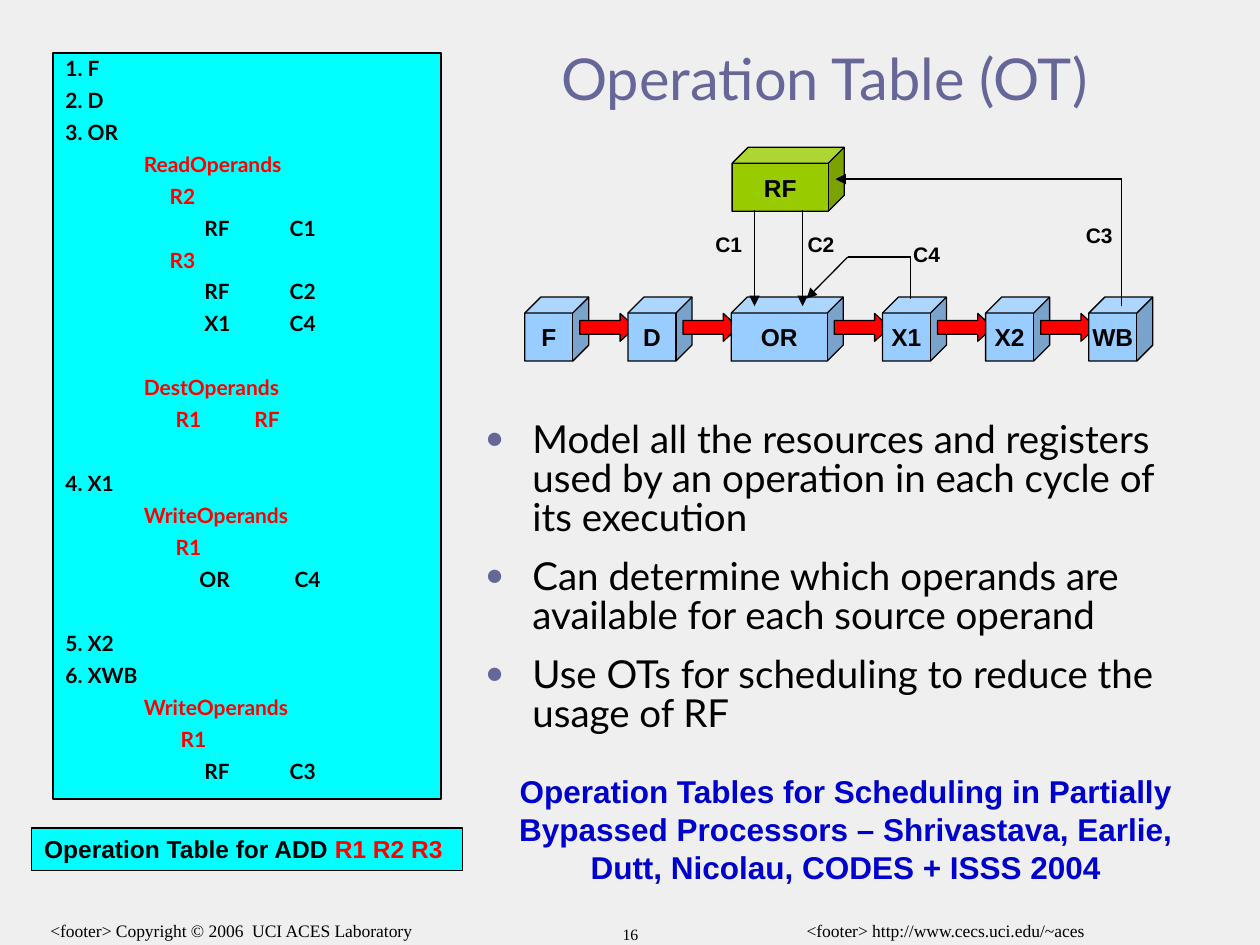
from lxml import etree
from pptx import Presentation
from pptx import util as u
from pptx.dml.color import RGBColor
from pptx.enum import shapes, text
from pptx.oxml import ns

BLACK = RGBColor(0x00, 0x00, 0x00)
RED = RGBColor(0xFF, 0x00, 0x00)
CYAN = RGBColor(0x00, 0xFF, 0xFF)
SKY = RGBColor(0x99, 0xCC, 0xFF)
GREEN = RGBColor(0x99, 0xCC, 0x00)
SLATE = RGBColor(0x66, 0x66, 0x99)
NAVY = RGBColor(0x00, 0x00, 0xCC)
PAPER = RGBColor(0xEF, 0xEF, 0xEF)
LEFT, CENTER = text.PP_ALIGN.LEFT, text.PP_ALIGN.CENTER
TOP, MIDDLE = text.MSO_ANCHOR.TOP, text.MSO_ANCHOR.MIDDLE

# First-line positions in the operation table, in cm
STEP, OPERANDS, REGISTER, LATER_REGISTER, PORT = 0, 1.58, 2.1, 2.22, 4.52
# Position, text, whether a blank line's worth of space comes before
TABLE_ROWS = [
    (STEP, "1. F", False), (STEP, "2. D", False), (STEP, "3. OR", False),
    (OPERANDS, "ReadOperands", False),
    (REGISTER, "R2", False), (PORT, "C1\tRF", False),
    (REGISTER, "R3", False), (PORT, "C2\tRF", False), (PORT, "C4\tX1", False),
    (OPERANDS, "DestOperands", True), (LATER_REGISTER, "R1\tRF", False),
    (STEP, "4. X1", True),
    (OPERANDS, "WriteOperands", False),
    (LATER_REGISTER, "R1", False), (PORT + 0.1, "C4\tOR", False),
    (STEP, "5. X2", True), (STEP, "6. XWB", False),
    (OPERANDS, "WriteOperands", False),
    (LATER_REGISTER + 0.1, "R1", False), (PORT, "C3\tRF", False),
]
BULLETS = [
    "Model all the resources and registers used by an operation in each cycle of its execution",
    "Can determine which operands are available for each source operand",
    "Use OTs for scheduling to reduce the usage of RF",
]


def add_child(parent, tag, **attributes):
    return etree.SubElement(parent, ns.qn(tag), attributes)


def write(para, words, size=12, font="Arial", color=BLACK, bold=False,
          align=LEFT, before=0, spacing=1.0):
    """Append a formatted run and set the paragraph's layout."""
    para.alignment = align
    para.space_before = u.Pt(before)
    para.line_spacing = spacing
    span = para.add_run()
    span.text = words
    span.font.size = u.Pt(size)
    span.font.name = font
    span.font.bold = bold
    span.font.color.rgb = color


def paragraphs(frame, items):
    """Pair each item with its paragraph, starting with the existing one."""
    for index, item in enumerate(items):
        yield (frame.add_paragraph() if index else frame.paragraphs[0]), item


class SlideBuilder:
    line_width = 0.75

    def __init__(self, slide):
        self.slide = slide
        slide.background.fill.solid()
        slide.background.fill.fore_color.rgb = PAPER

    def prepare(self, box, anchor=TOP, wrap=True):
        frame = box.text_frame
        frame.auto_size = text.MSO_AUTO_SIZE.NONE
        frame.word_wrap = wrap
        frame.vertical_anchor = anchor
        return frame

    def placeholder(self, index, left, top, width, height, anchor=TOP):
        box = self.slide.placeholders[index]
        box.left, box.top, box.width, box.height = map(u.Cm, (left, top, width, height))
        return self.prepare(box, anchor)

    def label(self, left, top, width, height, words, **style):
        box = self.slide.shapes.add_textbox(*map(u.Cm, (left, top, width, height)))
        write(self.prepare(box).paragraphs[0], words, **style)

    def shape(self, kind, left, top, width, height, fill):
        shape = self.slide.shapes.add_shape(kind, *map(u.Cm, (left, top, width, height)))
        shape.shadow.inherit = False
        shape.fill.solid()
        shape.fill.fore_color.rgb = fill
        shape.line.color.rgb = BLACK
        shape.line.width = u.Pt(self.line_width)
        return shape

    def cube(self, left, top, width, name, fill=SKY):
        box = self.shape(shapes.MSO_SHAPE.CUBE, left, top, width, 1.29, fill)
        frame = self.prepare(box, MIDDLE, wrap=False)
        write(frame.paragraphs[0], name, size=14, bold=True, align=CENTER)

    def line(self, start, end, arrow=False):
        points = map(u.Cm, (*start, *end))
        line = self.slide.shapes.add_connector(shapes.MSO_CONNECTOR.STRAIGHT, *points)
        line.line.color.rgb = BLACK
        line.line.width = u.Pt(self.line_width)
        if arrow:
            add_child(line.line._get_or_add_ln(), "a:tailEnd", type="triangle")
        add_child(line._element.spPr, "a:effectLst")

    def bullets(self, frame, items):
        for para, words in paragraphs(frame, items):
            layout = para._p.get_or_add_pPr()
            layout.set("marL", str(u.Cm(0.95)))
            layout.set("indent", str(-u.Cm(0.95)))
            color = add_child(layout, "a:buClr")
            add_child(color, "a:srgbClr", val=str(SLATE))
            add_child(layout, "a:buSzPct", val="80000")
            add_child(layout, "a:buChar", char="●")
            first = para._p is frame.paragraphs[0]._p
            write(para, words, size=22, font="Lato", spacing=0.85, before=0 if first else 11)

    def operation_table(self, frame):
        for para, (position, words, gap) in paragraphs(frame, TABLE_ROWS):
            layout = para._p.get_or_add_pPr()
            layout.set("marL", "0")
            layout.set("indent", str(u.Cm(position)))
            stops = add_child(layout, "a:tabLst")
            for stop in (2.92, 5.46):
                add_child(stops, "a:tab", pos=str(u.Cm(stop)), algn="l")
            first = para._p is frame.paragraphs[0]._p
            color = RED if OPERANDS <= position < PORT else BLACK
            write(para, words, font="Lato", bold=True, color=color, spacing=0.85,
                  before=0 if first else 24.24 if gap else 6)

    def pipeline(self):
        left, gap = 10.58, 0.79
        for name in ("F", "D", "OR", "X1", "X2", "WB"):
            width = 2.26 if name == "OR" else 1.29
            self.cube(left, 5.99, width, name)
            left += width
            if name != "WB":
                arrow = self.shape(shapes.MSO_SHAPE.RIGHT_ARROW, left - 0.18, 6.32, 1.12, 0.56, RED)
                arrow.adjustments[0], arrow.adjustments[1] = 0.5, 0.55
            left += gap


def main():
    deck = Presentation()
    deck.slide_width, deck.slide_height = u.Cm(25.4), u.Cm(19.05)
    page = SlideBuilder(deck.slides.add_slide(deck.slide_layouts[1]))

    title = page.placeholder(0, 9.1, 0.76, 15.04, 1.83, MIDDLE)
    write(title.paragraphs[0], "Operation Table (OT)", size=33, font="Lato",
          color=SLATE, align=CENTER, spacing=0.85)
    page.bullets(page.placeholder(1, 9.53, 8.38, 14.6, 6.86), BULLETS)

    rectangle = shapes.MSO_SHAPE.RECTANGLE
    caption = page.prepare(page.shape(rectangle, 0.64, 16.69, 8.69, 0.86, CYAN)).paragraphs[0]
    write(caption, "Operation Table for ADD ", size=14, bold=True)
    write(caption, "R1 R2 R3", size=14, bold=True, color=RED)
    panel = page.shape(rectangle, 1.07, 1.07, 7.82, 15.04, CYAN)
    panel.line.width = u.Pt(1)
    page.operation_table(page.prepare(panel))

    page.pipeline()
    page.cube(14.76, 2.97, 2.26, "RF", GREEN)
    for x in (15.21, 16.18):
        page.line((x, 4.24), (x, 6.17), arrow=True)
    page.line((22.61, 6.17), (22.61, 3.61))
    page.line((22.61, 3.61), (16.84, 3.61), arrow=True)
    page.line((18.36, 6.02), (18.36, 5.18))
    page.line((18.36, 5.18), (17.09, 5.18))
    page.line((17.09, 5.18), (16.26, 6.02), arrow=True)
    for name, left, top in (("C1", 14.17, 4.55), ("C2", 16.03, 4.55),
                            ("C3", 21.64, 4.37), ("C4", 18.16, 4.75)):
        page.label(left, top, 1.12, 0.76, name, bold=True)

    page.label(9.53, 15.44, 15.04, 2.54,
               "Operation Tables for Scheduling in Partially Bypassed Processors – "
               "Shrivastava, Earlie, Dutt, Nicolau, CODES + ISSS 2004",
               size=18, bold=True, color=NAVY, align=CENTER)
    footer = {"font": "Times New Roman", "align": CENTER}
    page.label(0, 18.42, 9.32, 0.63, "<footer> Copyright © 2006  UCI ACES Laboratory",
               size=10, **footer)
    page.label(14.4, 18.42, 9.32, 0.63, "<footer> http://www.cecs.uci.edu/~aces",
               size=10, **footer)
    page.label(9.55, 18.52, 6.32, 0.53, "16", size=9, **footer)
    deck.save("out.pptx")


if __name__ == "__main__":
    main()
